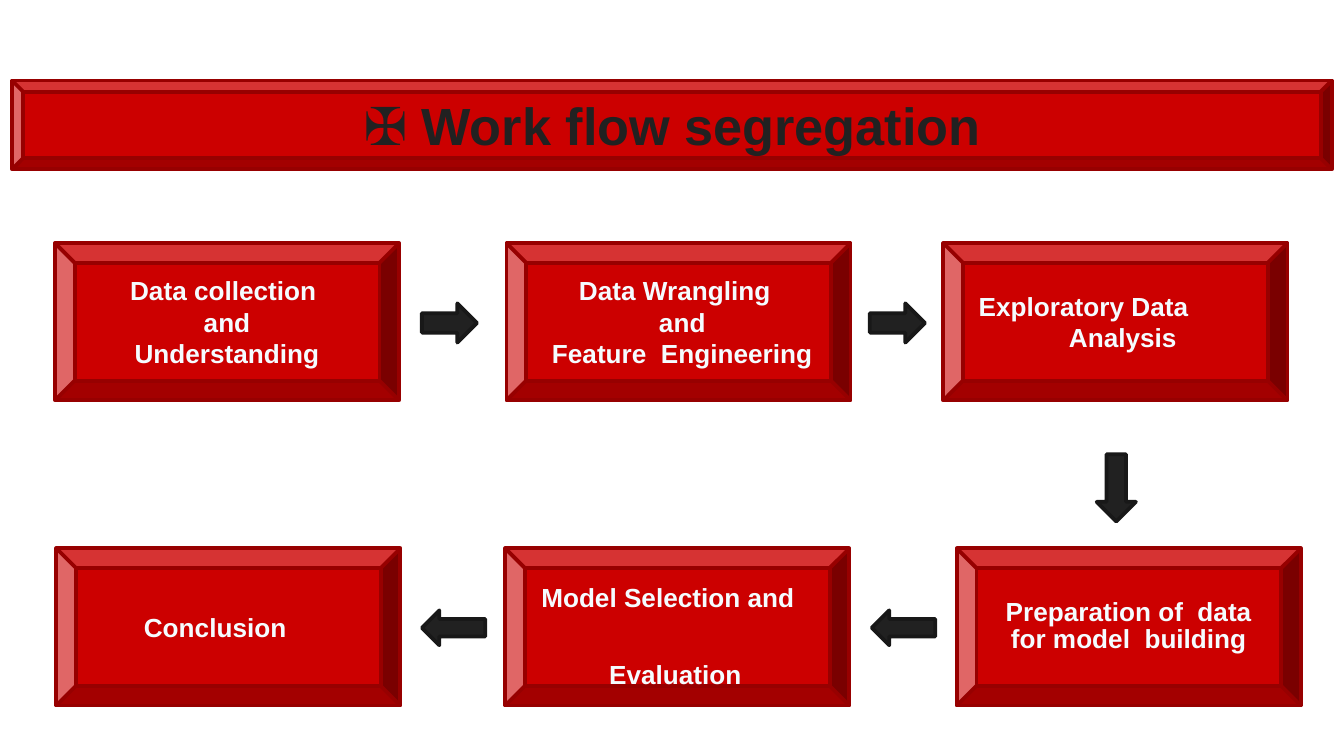
from dataclasses import dataclass

from pptx import Presentation
from pptx.dml.color import RGBColor
from pptx.enum import shapes, text
from pptx.util import Pt

MSO = shapes.MSO_SHAPE


@dataclass(frozen=True)
class Theme:
    font: str = "Arial"
    red: str = "CC0000"
    red_edge: str = "970000"
    dark: str = "212121"
    dark_edge: str = "181818"
    pale: str = "F5FCFF"
    title_size: float = 28
    step_size: float = 14
    edge: float = 2


THEME = Theme()
SLIDE = (720, 405)
TITLE = ("✠ Work flow segregation", (6.5, 43.2, 707, 47.5))

# Steps: left, top, lines as (words, shift from box centre), extra layout
STEP_SIZE = (184.3, 84.2)
TOP_ROW, BOTTOM_ROW = 130.3, 293.8
STEPS = [
    (29.5, TOP_ROW, [("Data collection", -2), ("and", 0), ("Understanding", 0)], {}),
    (271.4, TOP_ROW, [("Data Wrangling", -2), ("and", 2), ("Feature  Engineering", 2)], {}),
    (505.4, TOP_ROW, [("Exploratory Data", -17), ("Analysis", 4)], {}),
    (512.6, BOTTOM_ROW, [("Preparation of  data", 0), ("for model  building", 0)],
     {"spacing": 0.86}),
    (270.7, BOTTOM_ROW, [("Model Selection and", -5), ("Evaluation", -1)],
     {"spacing": Pt(20.7), "gap": 20.7, "drop": 5}),
    (30.2, BOTTOM_ROW, [("Conclusion", -7)], {}),
]

ARROWS = [
    (MSO.RIGHT_ARROW, (226, 162.5, 29.5, 21)),
    (MSO.RIGHT_ARROW, (466, 162.5, 29.5, 21)),
    (MSO.DOWN_ARROW, (587.5, 243.4, 21, 36)),
    (MSO.LEFT_ARROW, (467, 327, 34, 18.7)),
    (MSO.LEFT_ARROW, (226, 327, 34, 18.7)),
]


def add_block(s, kind, box, fill, edge):
    sp = s.shapes.add_shape(kind, *map(Pt, box))
    sp.shadow.inherit = False
    sp.fill.solid()
    sp.fill.fore_color.rgb = RGBColor.from_string(fill)
    sp.line.color.rgb = RGBColor.from_string(edge)
    sp.line.width = Pt(THEME.edge)
    return sp


def write_lines(sp, lines, size, color, spacing=1.0, gap=0, drop=0):
    """Centre each line, moved sideways by its shift; drop lowers the text."""
    tf = sp.text_frame
    tf.word_wrap = True
    tf.vertical_anchor = text.MSO_ANCHOR.MIDDLE
    leftmost = min(0, *(shift for _, shift in lines), 0)
    tf.margin_left = tf.margin_bottom = 0
    tf.margin_right, tf.margin_top = Pt(-2 * leftmost), Pt(drop)
    for i, (words, shift) in enumerate(lines):
        p = tf.add_paragraph() if i else tf.paragraphs[0]
        p.alignment = text.PP_ALIGN.CENTER
        p.line_spacing = spacing
        if i:
            p.space_before = Pt(gap)
        p._p.get_or_add_pPr().set("marL", str(Pt(2 * (shift - leftmost))))
        r = p.add_run()
        r.text = words
        r.font.name = THEME.font
        r.font.size = Pt(size)
        r.font.bold = True
        r.font.color.rgb = RGBColor.from_string(color)


def main():
    prs = Presentation()
    prs.slide_width, prs.slide_height = map(Pt, SLIDE)
    s = prs.slides.add_slide(prs.slide_layouts[6])

    for left, top, lines, layout in STEPS:
        sp = add_block(s, MSO.BEVEL, (left, top, *STEP_SIZE), THEME.red, THEME.red_edge)
        write_lines(sp, lines, THEME.step_size, THEME.pale, **layout)

    for kind, box in ARROWS:
        add_block(s, kind, box, THEME.dark, THEME.dark_edge)

    title, box = TITLE
    sp = add_block(s, MSO.BEVEL, box, THEME.red, THEME.red_edge)
    write_lines(sp, [(title, 0)], THEME.title_size, THEME.dark)

    prs.save("out.pptx")


if __name__ == "__main__":
    main()
